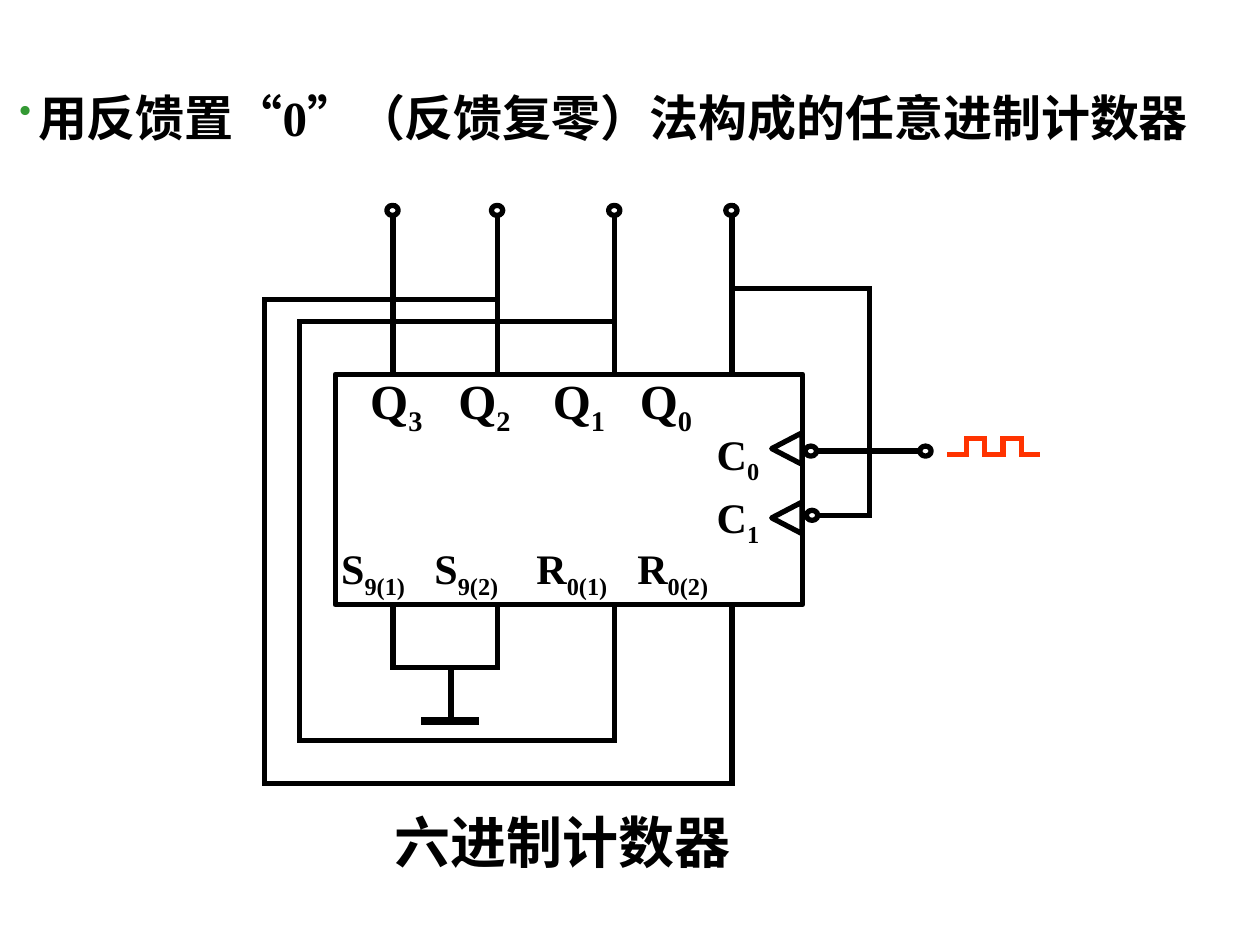
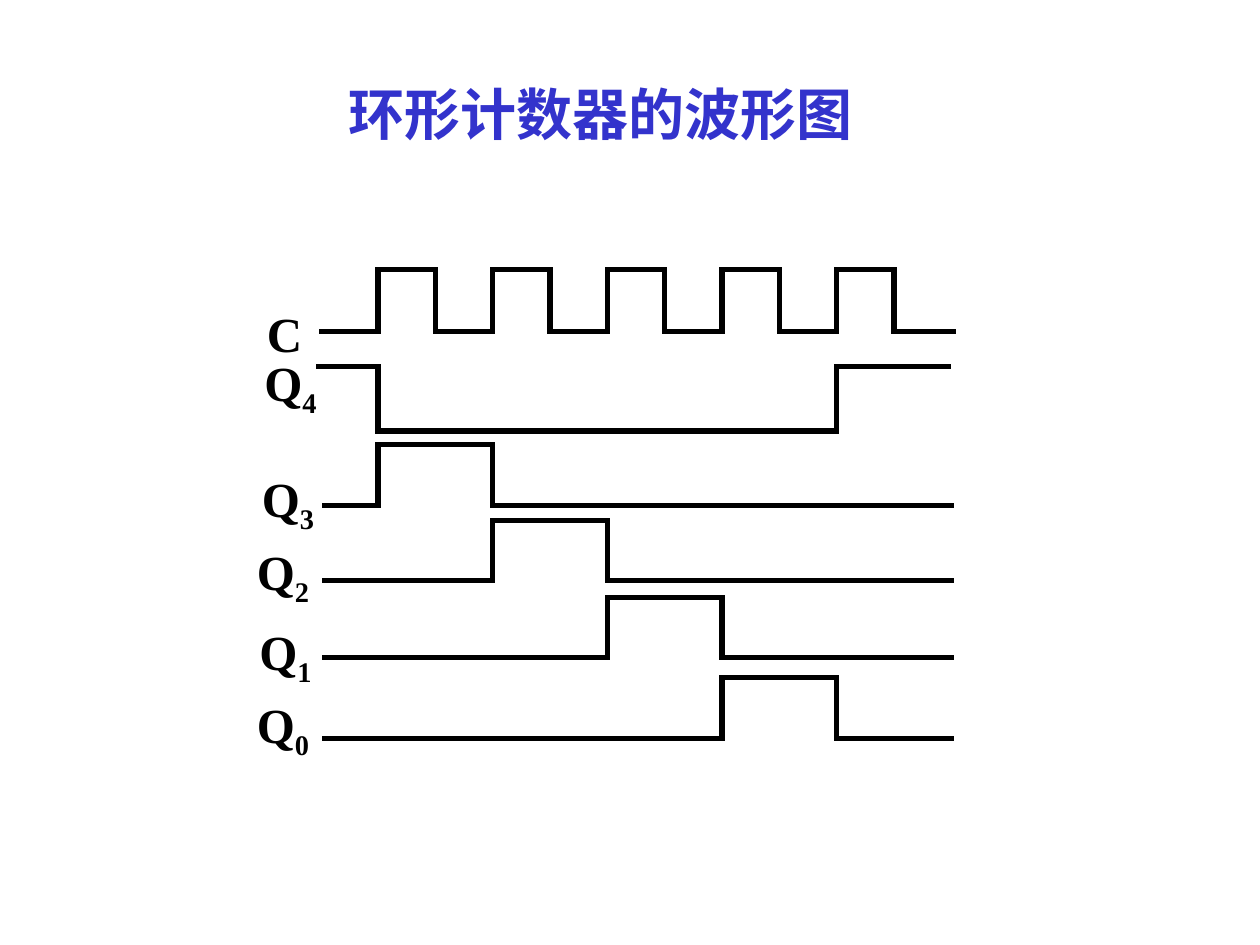
"""Build two slides on a modulo-six counter circuit and ring counter waveforms."""
from dataclasses import dataclass
from itertools import pairwise

from lxml import etree
from pptx import Presentation
from pptx.dml.color import RGBColor
from pptx.enum import lang, shapes, text
from pptx.oxml.ns import qn
from pptx.util import Inches, Pt

BLACK = RGBColor(0x00, 0x00, 0x00)
WHITE = RGBColor(0xFF, 0xFF, 0xFF)
GREEN = RGBColor(0x33, 0x99, 0x33)
BLUE = RGBColor(0x33, 0x33, 0xCC)
RED = RGBColor(0xFF, 0x33, 0x00)
FONT = "Times New Roman"
STROKE = 3
CHINESE = lang.MSO_LANGUAGE_ID.SIMPLIFIED_CHINESE

PIN_XS = (3.12, 3.95, 4.88, 5.81)
PIN_TOP = 1.63
CLOCK_START = 3.0
CLOCK_PERIOD = 0.91
CLOCK_PULSES = 5


@dataclass
class Label:
    """Signal names with subscripts, spread over tab stops."""

    names: list[tuple[str, str]]
    left: float
    top: float
    width: float
    size: float = 28
    tabs: tuple[float, ...] = ()
    wrap: bool = True


@dataclass
class Signal:
    """A waveform row: its label and the corners of its trace."""

    label: Label
    points: list[tuple[float, float]]


def add_wire(slide, points, color=BLACK, weight=STROKE) -> None:
    """Draw straight segments through the points."""
    for (x1, y1), (x2, y2) in pairwise(points):
        connector = slide.shapes.add_connector(
            shapes.MSO_CONNECTOR.STRAIGHT, Inches(x1), Inches(y1), Inches(x2), Inches(y2))
        connector.line.color.rgb = color
        connector.line.width = Pt(weight)
        properties = connector._element.spPr
        properties.find(qn("a:ln")).set("cap", "sq")
        etree.SubElement(properties, qn("a:effectLst"))


def add_outline(slide, kind, left, top, width, height, rotation=0) -> None:
    """Draw a white preset shape with a black outline."""
    shape = slide.shapes.add_shape(
        kind, Inches(left), Inches(top), Inches(width), Inches(height))
    shape.shadow.inherit = False
    shape.fill.solid()
    shape.fill.fore_color.rgb = WHITE
    shape.line.color.rgb = BLACK
    shape.line.width = Pt(STROKE)
    shape.rotation = rotation


def add_terminal(slide, left, top) -> None:
    """Draw a small round terminal."""
    add_outline(slide, shapes.MSO_SHAPE.OVAL, left, top, 0.09, 0.08)


def add_paragraph_box(slide, left, top, width, height, wrap=True):
    """Add a text box and return its first paragraph."""
    frame = slide.shapes.add_textbox(
        Inches(left), Inches(top), Inches(width), Inches(height)).text_frame
    frame.word_wrap = wrap
    frame.auto_size = text.MSO_AUTO_SIZE.SHAPE_TO_FIT_TEXT
    return frame.paragraphs[0]


def set_font(font, size, color=BLACK, bold=True) -> None:
    """Apply the shared typeface with a size and colour."""
    font.name = FONT
    font.size = Pt(size)
    font.bold = bold
    font.color.rgb = color


def add_title(slide, wording, left, top, width, color) -> None:
    """Add a large one-line Chinese title or caption."""
    paragraph = add_paragraph_box(slide, left, top, width, 0.64)
    run = paragraph.add_run()
    run.text = wording
    run.font.language_id = CHINESE
    set_font(paragraph.font, 32, color)


def add_label(slide, label: Label) -> None:
    """Add signal names, each followed by its subscript."""
    height = 0.63 if label.size == 28 else 0.56
    paragraph = add_paragraph_box(
        slide, label.left, label.top, label.width, height, label.wrap)
    if label.tabs:
        stops = etree.SubElement(paragraph._p.get_or_add_pPr(), qn("a:tabLst"))
        for position in label.tabs:
            etree.SubElement(stops, qn("a:tab"), pos=str(Inches(position)), algn="l")
    set_font(paragraph.font, label.size)
    for index, (name, subscript) in enumerate(label.names):
        paragraph.add_run().text = f"\t{name}" if index else name
        if subscript:
            run = paragraph.add_run()
            run.text = subscript
            run._r.get_or_add_rPr().set("baseline", "-25000")


def pulse_train(start, rise, half, count, low, high, lead):
    """Return the corners of a square wave with a low lead-in and tail."""
    points = [(start, low)]
    for index in range(count):
        left = rise + index * 2 * half
        points += [(left, low), (left, high), (left + half, high), (left + half, low)]
    return points + [(points[-1][0] + lead, low)]


def add_heading(slide) -> None:
    """Add the bulleted heading of the circuit slide."""
    paragraph = add_paragraph_box(slide, 0, 0.42, 9.75, 1.3)
    bullet = paragraph.add_run()
    bullet.text = "·"
    set_font(bullet.font, 44, GREEN, bold=False)
    wording = paragraph.add_run()
    wording.text = "用反馈置“0”（反馈复零）法构成的任意进制计数器"
    wording.font.language_id = CHINESE
    set_font(wording.font, 28)


def build_circuit(slide) -> None:
    """Draw the modulo-six counter circuit."""
    add_heading(slide)
    q3, q2, q1, q0 = PIN_XS
    for x, bottom in zip(PIN_XS, (5.3, 5.3, 5.88, 6.22)):
        add_wire(slide, [(x, PIN_TOP), (x, bottom)])
    add_outline(slide, shapes.MSO_SHAPE.RECTANGLE, 2.66, 2.97, 3.71, 1.83)

    outputs = [("Q", digit) for digit in "3210"]
    controls = [("S", "9(1)"), ("S", "9(2)"), ("R", "0(1)"), ("R", "0(2)")]
    add_label(slide, Label(outputs, 2.84, 2.89, 3.34, tabs=(0.7, 1.45, 2.14)))
    add_label(slide, Label(controls, 2.61, 4.26, 4.64, 24, (0.74, 1.55, 2.35)))

    add_wire(slide, [(q3, 5.3), (q2, 5.3)])
    add_wire(slide, [(3.58, 5.3), (3.58, 5.72)])
    add_wire(slide, [(3.37, 5.72), (3.77, 5.72)], weight=4.5)
    add_wire(slide, [(q1, 5.88), (2.38, 5.88), (2.38, 2.55), (q1, 2.55)])
    add_wire(slide, [(q0, 6.22), (2.1, 6.22), (2.1, 2.38), (q2, 2.38)])
    for x in PIN_XS:
        add_terminal(slide, x - 0.05, PIN_TOP)

    add_wire(slide, [(q0, 2.29), (6.9, 2.29), (6.9, 4.09), (6.47, 4.09)])
    add_wire(slide, [(6.47, 3.58), (7.3, 3.58)])
    for digit, label_top, triangle_top in (("0", 3.35, 3.44), ("1", 3.85, 3.99)):
        add_outline(slide, shapes.MSO_SHAPE.ISOSCELES_TRIANGLE,
                    6.12, triangle_top, 0.25, 0.24, 270)
        add_label(slide, Label([("C", digit)], 5.59, label_top, 0.54, 24, wrap=False))
    for left, top in ((6.39, 3.54), (6.4, 4.05), (7.3, 3.54)):
        add_terminal(slide, left, top)

    add_wire(slide, pulse_train(7.54, 7.67, 0.145, 2, 3.61, 3.48, 0.13), RED)
    add_title(slide, "六进制计数器", 3.03, 6.36, 3.53, BLACK)


def build_waveforms(slide) -> None:
    """Draw the clock and the five ring counter outputs."""
    add_title(slide, "环形计数器的波形图", 2.67, 0.58, 4.42, BLUE)
    edges = [CLOCK_START + index * CLOCK_PERIOD for index in range(CLOCK_PULSES)]
    first, last = edges[0], edges[-1]
    signals = [
        Signal(Label([("C", "")], 2.02, 2.36, 0.79),
               pulse_train(2.55, first, CLOCK_PERIOD / 2, CLOCK_PULSES, 2.63, 2.14, 0.47)),
        Signal(Label([("Q", "4")], 2.0, 2.75, 0.63),
               [(2.53, 2.91), (first, 2.91), (first, 3.42),
                (last, 3.42), (last, 2.91), (7.53, 2.91)]),
    ]
    rows = (("3", 1.98, 3.67, 4.01), ("2", 1.94, 4.25, 4.61),
            ("1", 1.96, 4.88, 5.22), ("0", 1.94, 5.46, 5.86))
    for (digit, left, top, low), (rise, fall) in zip(rows, pairwise(edges)):
        high = low - 0.48
        signals.append(Signal(
            Label([("Q", digit)], left, top, 0.63),
            [(2.58, low), (rise, low), (rise, high), (fall, high), (fall, low), (7.55, low)]))
    for signal in signals:
        add_wire(slide, signal.points)
        add_label(slide, signal.label)


def main() -> None:
    """Create and save the presentation."""
    presentation = Presentation()
    presentation.slide_width = Inches(10)
    presentation.slide_height = Inches(7.5)
    for build in (build_circuit, build_waveforms):
        build(presentation.slides.add_slide(presentation.slide_layouts[6]))
    presentation.save("out.pptx")


if __name__ == "__main__":
    main()
